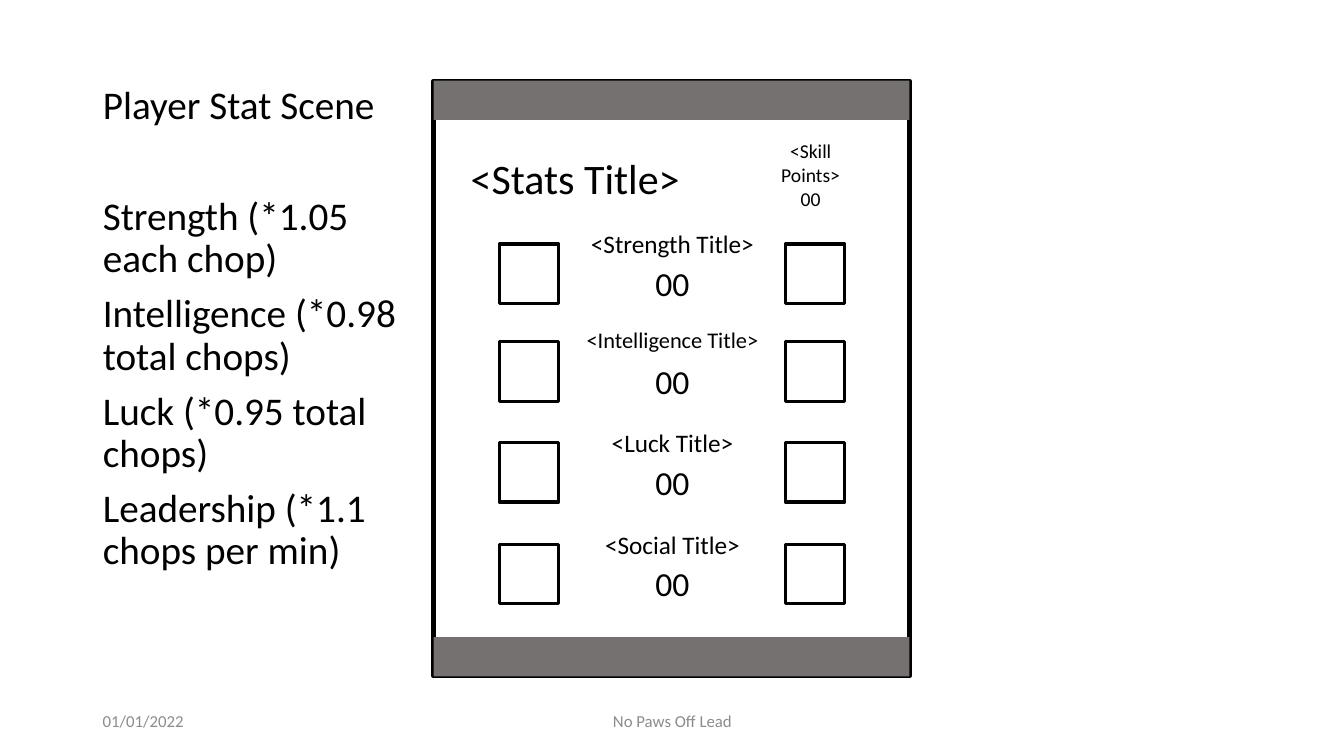
from collections import namedtuple

from lxml import etree
from pptx import Presentation
from pptx import util as u
from pptx.dml.color import RGBColor
from pptx.enum import shapes, text
from pptx.oxml.ns import qn

COLORS = {"ink": "000000", "paper": "FFFFFF", "band": "767171", "muted": "8C8C8C"}
COLUMNS, ROWS = 1333, 750
CELL = u.Inches(0.01)
LEFT, CENTER = text.PP_ALIGN.LEFT, text.PP_ALIGN.CENTER

Box = namedtuple("Box", "left top width height")

BONUSES = ["Strength (*1.05 each chop)", "Intelligence (*0.98 total chops)",
           "Luck (*0.95 total chops)", "Leadership (*1.1 chops per min)"]
STATS = [("<Strength Title>", 18, 142), ("<Intelligence Title>", 16, 239),
         ("<Luck Title>", 18, 339), ("<Social Title>", 18, 440)]


def inside(box, left, top, width, height):
    return Box(box.left + left, box.top + top, width, height)


def emu(box):
    return [int(cells * CELL) for cells in box]


def color(name):
    return RGBColor.from_string(COLORS[name])


def style(paragraph, size, ink="ink", align=LEFT):
    paragraph.alignment = align
    paragraph.font.name = "Calibri"
    paragraph.font.size = u.Pt(size)
    paragraph.font.color.rgb = color(ink)


def add_text(slide, box, words, size=18, ink="ink", align=CENTER,
             anchor=text.MSO_ANCHOR.TOP):
    frame = slide.shapes.add_textbox(*emu(box)).text_frame
    frame.word_wrap = True
    frame.vertical_anchor = anchor
    frame.text = words
    style(frame.paragraphs[0], size, ink, align)


def add_rect(slide, box, fill=None, line=None):
    rect = slide.shapes.add_shape(shapes.MSO_SHAPE.RECTANGLE, *emu(box))
    rect.shadow.inherit = False
    if fill:
        rect.fill.solid()
        rect.fill.fore_color.rgb = color(fill)
    else:
        rect.fill.background()
    if line:
        rect.line.color.rgb = color("ink")
        rect.line.width = u.Pt(line)
    else:
        rect.line.fill.background()


def phone_frame(slide, box):
    band = 39
    add_rect(slide, box, line=3)
    for top in (0, box.height - band):
        add_rect(slide, inside(box, 0, top, box.width, band), fill="band")


def bonus_list(slide, box):
    body = slide.placeholders[1]
    body.left, body.top, body.width, body.height = emu(box)
    frame = body.text_frame
    frame.auto_size = text.MSO_AUTO_SIZE.NONE
    frame.text = "\n".join(["Player Stat Scene"] + BONUSES)
    for paragraph, gap in zip(frame.paragraphs, [0, 49, 9, 9, 9]):
        properties = paragraph._p.get_or_add_pPr()
        properties.set("marL", "0")
        properties.set("indent", "0")
        etree.SubElement(properties, qn("a:buNone"))
        paragraph.line_spacing = 0.9
        paragraph.space_before = u.Pt(gap)
        style(paragraph, 28)


def stats_header(slide, box):
    add_text(slide, inside(box, 27, 66, 255, 61), "<Stats Title>", 30, align=LEFT)
    add_text(slide, inside(box, 350, 101, 48, 34), "00", 14)
    add_text(slide, inside(box, 315, 53, 118, 57), "<Skill Points>", 14)


def stat_row(slide, box, title, size):
    button = 59
    for left in (0, box.width - button):
        add_rect(slide, inside(box, left, 20, button, button), "paper", 2.25)
    add_text(slide, inside(box, 69, 0, 206, 40), title, size)
    add_text(slide, inside(box, 69, 34, 206, 50), "00", 24)


def footer(slide, box):
    for left, width, words, align in [(0, 300, "01/01/2022", LEFT),
                                      (350, 450, "No Paws Off Lead", CENTER)]:
        add_text(slide, inside(box, left, 0, width, box.height), words, 12, "muted",
                 align, text.MSO_ANCHOR.MIDDLE)


def stat_scene(deck):
    slide = deck.slides.add_slide(deck.slide_layouts[1])
    title = slide.shapes.title
    title._element.getparent().remove(title._element)
    phone = Box(430, 80, 472, 591)
    phone_frame(slide, phone)
    footer(slide, Box(92, 695, 800, 40))
    bonus_list(slide, Box(92, 80, 314, 591))
    stats_header(slide, phone)
    for name, size, top in STATS:
        stat_row(slide, inside(phone, 65, top, 343, 84), name, size)


def main():
    deck = Presentation()
    deck.slide_width, deck.slide_height = COLUMNS * CELL, ROWS * CELL
    stat_scene(deck)
    deck.save("out.pptx")


if __name__ == "__main__":
    main()
